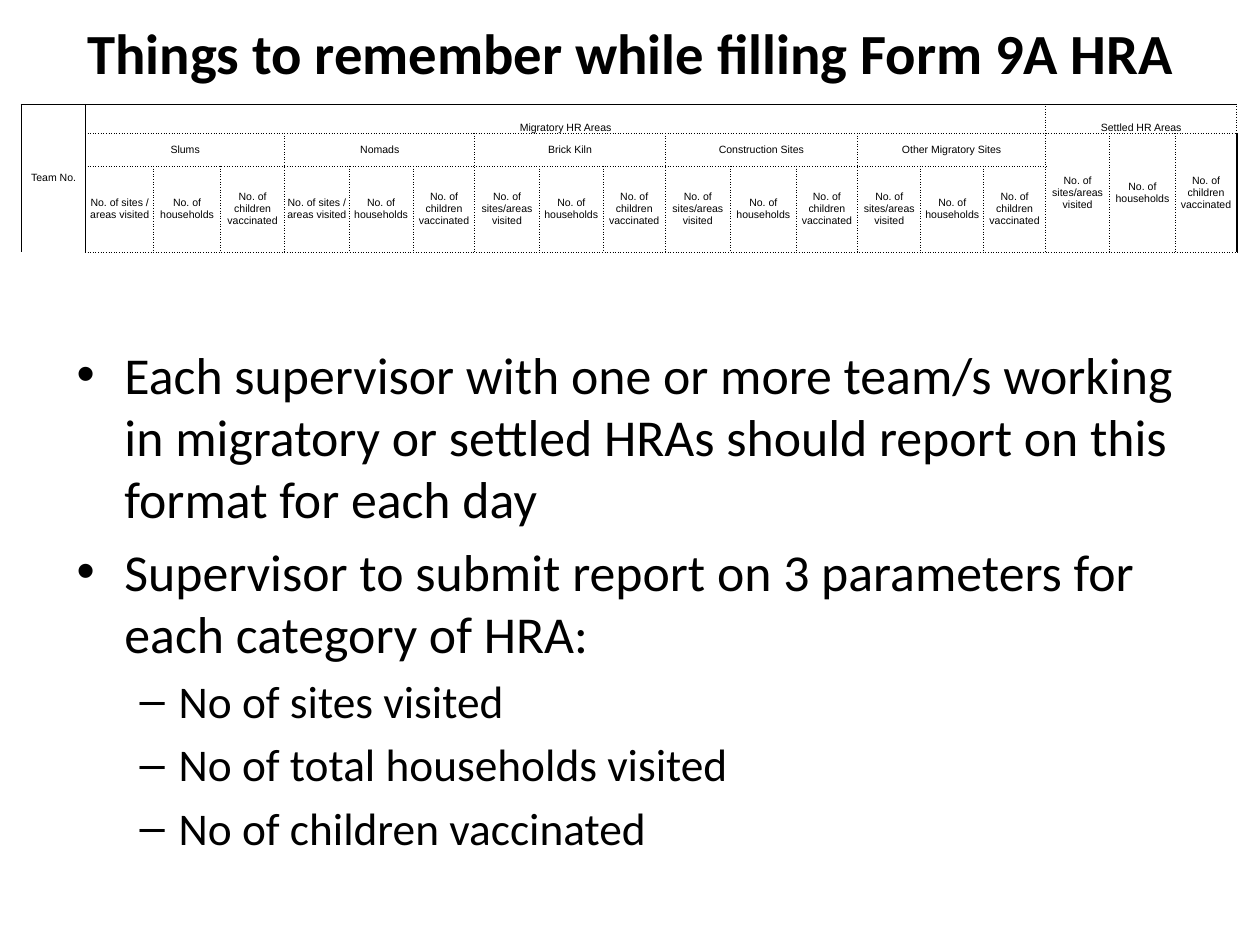
from lxml.etree import SubElement
from pptx import Presentation
from pptx.dml.color import RGBColor
from pptx.enum.text import MSO_ANCHOR, PP_ALIGN
from pptx.oxml.ns import qn
from pptx.util import Inches, Pt

BLACK = "000000"
SOLID, DOTTED = (1, "solid"), (0.5, "sysDot")

COL_WIDTHS = [0.51, 0.54, 0.53, 0.51, 0.51, 0.51, 0.49, 0.51, 0.51, 0.49,
              0.52, 0.52, 0.49, 0.5, 0.5, 0.49, 0.51, 0.52, 0.49]
ROW_HEIGHTS = [0.23, 0.26, 0.68]
MIGRATORY = ["Slums", "Nomads", "Brick Kiln", "Construction Sites",
             "Other Migratory Sites"]
SPACED_SITES = "No. of sites / areas visited"
MEASURES = ["No. of sites/areas visited", "No. of households",
            "No. of children vaccinated"]

BULLETS = [
    (0, "Each supervisor with one or more team/s working in migratory or "
        "settled HRAs should report on this format for each day"),
    (0, "Supervisor to submit report on 3 parameters for each category of HRA:"),
    (1, "No of sites visited"),
    (1, "No of total households visited"),
    (1, "No of children vaccinated"),
]
# Per level: bullet, left indent, hanging indent, text size
LEVELS = [("•", 0.38, 0.38, 29.6), ("–", 0.81, 0.31, 25.9)]


def color(hex_value):
    return RGBColor.from_string(hex_value)


def add_run(p, text, **formats):
    r = p.add_run()
    r.text = text
    r.font.color.rgb = color(BLACK)
    for name, value in formats.items():
        setattr(r.font, name, value)


def add_text_box(s, left, top, width, height, anchor):
    tb = s.shapes.add_textbox(*map(Inches, (left, top, width, height)))
    tf = tb.text_frame
    tf.word_wrap = True
    tf.vertical_anchor = anchor
    return tf


def add_title(s, text):
    tf = add_text_box(s, 0.17, 0.08, 9.67, 0.67, MSO_ANCHOR.MIDDLE)
    p = tf.paragraphs[0]
    p.alignment = PP_ALIGN.CENTER
    add_run(p, text, name="Calibri", size=Pt(32.4), bold=True)


def add_bullets(s, items):
    tf = add_text_box(s, 0.51, 2.67, 9.24, 4.02, MSO_ANCHOR.TOP)
    for i, (level, text) in enumerate(items):
        bullet, left, hanging, size = LEVELS[level]
        p = tf.add_paragraph() if i else tf.paragraphs[0]
        p.level = level
        p.space_before = Pt(round(size * 0.2, 1))
        pPr = p._p.get_or_add_pPr()
        pPr.set("marL", str(Inches(left)))
        pPr.set("indent", str(-Inches(hanging)))
        SubElement(pPr, qn("a:buFont"), typeface="Arial")
        SubElement(pPr, qn("a:buChar"), char=bullet)
        add_run(p, text, name="Calibri", size=Pt(size))


def set_borders(cell, borders):
    tcPr = cell._tc.get_or_add_tcPr()
    for i, (side, style) in enumerate(borders.items()):
        ln = SubElement(tcPr, qn(f"a:ln{side}"))
        if style:
            width, dash = style
            ln.set("w", str(Pt(width)))
            fill = SubElement(ln, qn("a:solidFill"))
            SubElement(fill, qn("a:srgbClr"), val=BLACK)
            SubElement(ln, qn("a:prstDash"), val=dash)
        else:
            SubElement(ln, qn("a:noFill"))
        tcPr.insert(i, ln)


def fill_cell(table, row, col, text, rows=1, cols=1, anchor=MSO_ANCHOR.MIDDLE):
    cell = table.cell(row, col)
    if rows > 1 or cols > 1:
        cell.merge(table.cell(row + rows - 1, col + cols - 1))
    cell.vertical_anchor = anchor
    p = cell.text_frame.paragraphs[0]
    p.alignment = PP_ALIGN.CENTER
    add_run(p, text, name="Arial", size=Pt(6))


def add_form_table(s):
    n_rows, n_cols = len(ROW_HEIGHTS), len(COL_WIDTHS)
    frame = s.shapes.add_table(n_rows, n_cols, Inches(0.17), Inches(0.83),
                               Inches(9.67), Inches(1.17))
    table = frame.table
    table.first_row = table.horz_banding = False
    for column, width in zip(table.columns, COL_WIDTHS):
        column.width = Inches(width)
    for row, height in zip(table.rows, ROW_HEIGHTS):
        row.height = Inches(height)

    # Solid frame around the form, dotted lines inside
    for r in range(n_rows):
        for c in range(n_cols):
            cell = table.cell(r, c)
            for side in ("left", "right", "top", "bottom"):
                setattr(cell, f"margin_{side}", 0)
            cell.fill.background()
            set_borders(cell, {
                "L": SOLID if c < 2 else DOTTED,
                "R": SOLID if c in (0, n_cols - 1) else DOTTED,
                "T": SOLID if r == 0 else DOTTED if c else None,
                "B": DOTTED if c else None,
            })

    # Top headings
    fill_cell(table, 0, 0, "Team No.", rows=3)
    fill_cell(table, 0, 1, "Migratory HR Areas", cols=15,
              anchor=MSO_ANCHOR.BOTTOM)
    fill_cell(table, 0, 16, "Settled HR Areas", cols=3,
              anchor=MSO_ANCHOR.BOTTOM)

    # Three measures under each migratory area, then the settled ones
    for i, area in enumerate(MIGRATORY):
        first = 1 + 3 * i
        fill_cell(table, 1, first, area, cols=3)
        labels = [SPACED_SITES] + MEASURES[1:] if i < 2 else MEASURES
        for j, label in enumerate(labels):
            fill_cell(table, 2, first + j, label)
    for j, label in enumerate(MEASURES):
        fill_cell(table, 1, 16 + j, label, rows=2)


def main():
    prs = Presentation()
    prs.slide_width, prs.slide_height = Inches(10), Inches(7.5)
    s = prs.slides.add_slide(prs.slide_layouts[6])
    add_title(s, "Things to remember while filling Form 9A HRA")
    add_bullets(s, BULLETS)
    add_form_table(s)
    prs.save("out.pptx")


if __name__ == "__main__":
    main()
